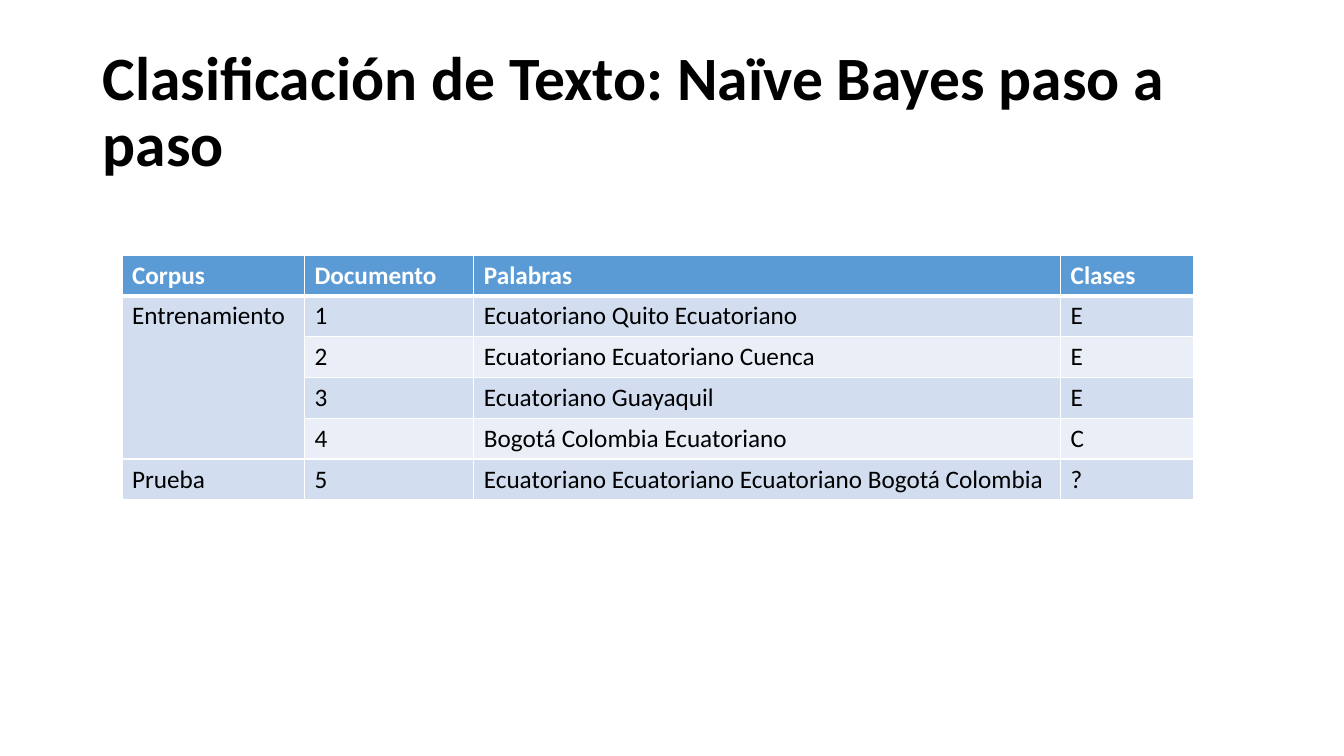
"""Build the slide with the Naïve Bayes training and test corpus table."""
from lxml.etree import SubElement as Sub
from pptx import Presentation
from pptx.dml.color import RGBColor as RGB
from pptx.enum.text import MSO_ANCHOR as Anchor
from pptx.oxml.ns import qn
from pptx.util import Inches, Pt

WHITE, BLACK, BLUE = "FFFFFF", "000000", "5B9BD5"
BANDS = ["EAEFF7", "D2DEEF"]
COLS = [1.81, 1.68, 5.82, 1.32]
ROW = 0.405
ROWS = [
    ["Corpus", "Documento", "Palabras", "Clases"],
    ["Entrenamiento", "1", "Ecuatoriano Quito Ecuatoriano", "E"],
    ["", "2", "Ecuatoriano Ecuatoriano Cuenca", "E"],
    ["", "3", "Ecuatoriano Guayaquil", "E"],
    ["", "4", "Bogotá Colombia Ecuatoriano", "C"],
    ["Prueba", "5", "Ecuatoriano Ecuatoriano Ecuatoriano Bogotá Colombia", "?"],
]


def write(p, text, color, **fmt):
    r = p.add_run()
    r.text = text
    r.font.color.rgb = RGB.from_string(color)
    for name, value in {"name": "Calibri", **fmt}.items():
        setattr(r.font, name, value)


prs = Presentation()
prs.slide_width, prs.slide_height = Inches(13.33), Inches(7.5)
s = prs.slides.add_slide(prs.slide_layouts[6])

title = s.shapes.add_textbox(Inches(0.92), Inches(0.4), Inches(11.5), Inches(1.45))
tf = title.text_frame
tf.word_wrap = True
tf.vertical_anchor = Anchor.MIDDLE
p = tf.paragraphs[0]
p.line_spacing = 0.9
write(p, "Clasificación de Texto: Naïve Bayes paso a paso", BLACK, size=Pt(44), bold=True)

table = s.shapes.add_table(len(ROWS), len(COLS), Inches(1.21), Inches(2.53),
                           Inches(sum(COLS)), Inches(ROW * len(ROWS))).table
for col, width in zip(table.columns, COLS):
    col.width = Inches(width)
for i, row in enumerate(ROWS):
    table.rows[i].height = Inches(ROW)
    header = i == 0
    for j, text in enumerate(row):
        cell = table.cell(i, j)
        tcPr = cell._tc.get_or_add_tcPr()
        thick = {0: "lnB", 1: "lnT"}.get(i)
        for side in ("lnL", "lnR", "lnT", "lnB"):
            ln = Sub(tcPr, qn(f"a:{side}"), w=str(Pt(3 if side == thick else 1)))
            Sub(Sub(ln, qn("a:solidFill")), qn("a:srgbClr"), val=WHITE)
        cell.fill.solid()
        cell.fill.fore_color.rgb = RGB.from_string(BLUE if header else BANDS[i % 2])
        if text:
            write(cell.text_frame.paragraphs[0], text, WHITE if header else BLACK,
                  size=Pt(18), bold=header)
table.cell(1, 0).merge(table.cell(4, 0))

prs.save("out.pptx")
